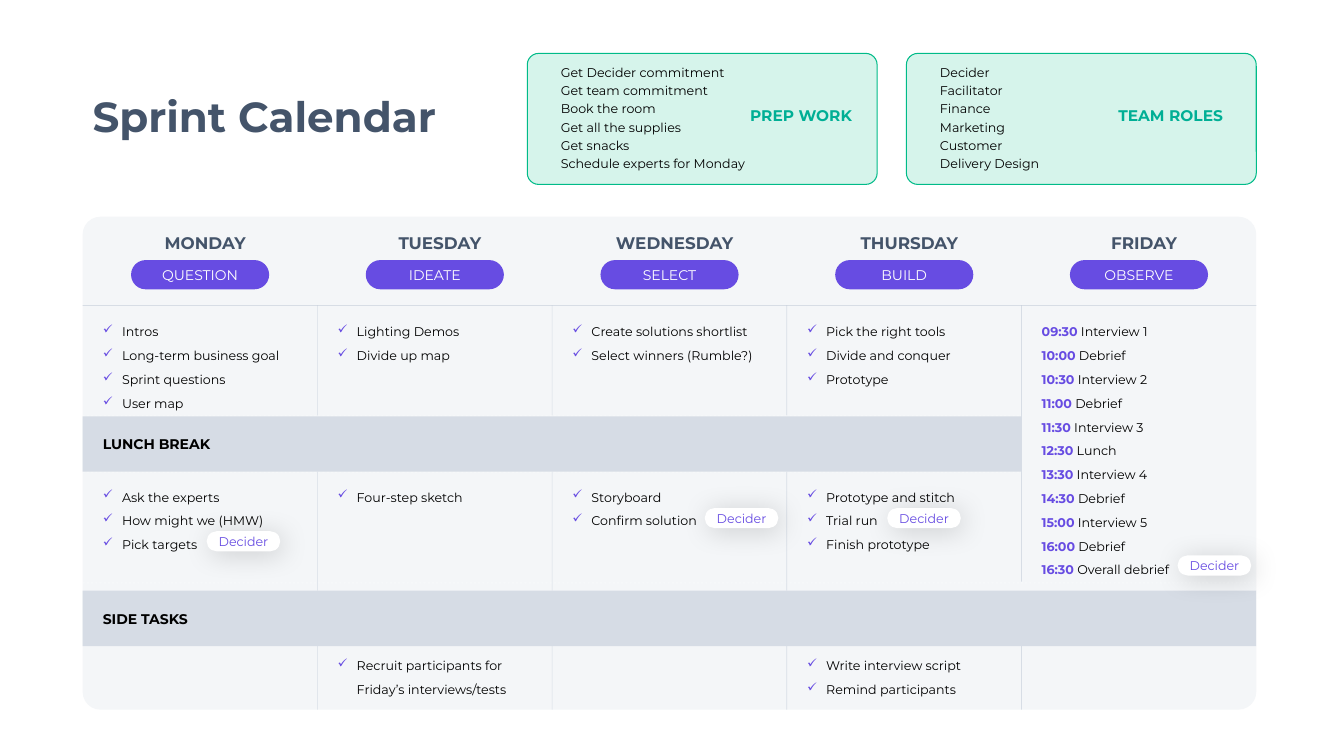
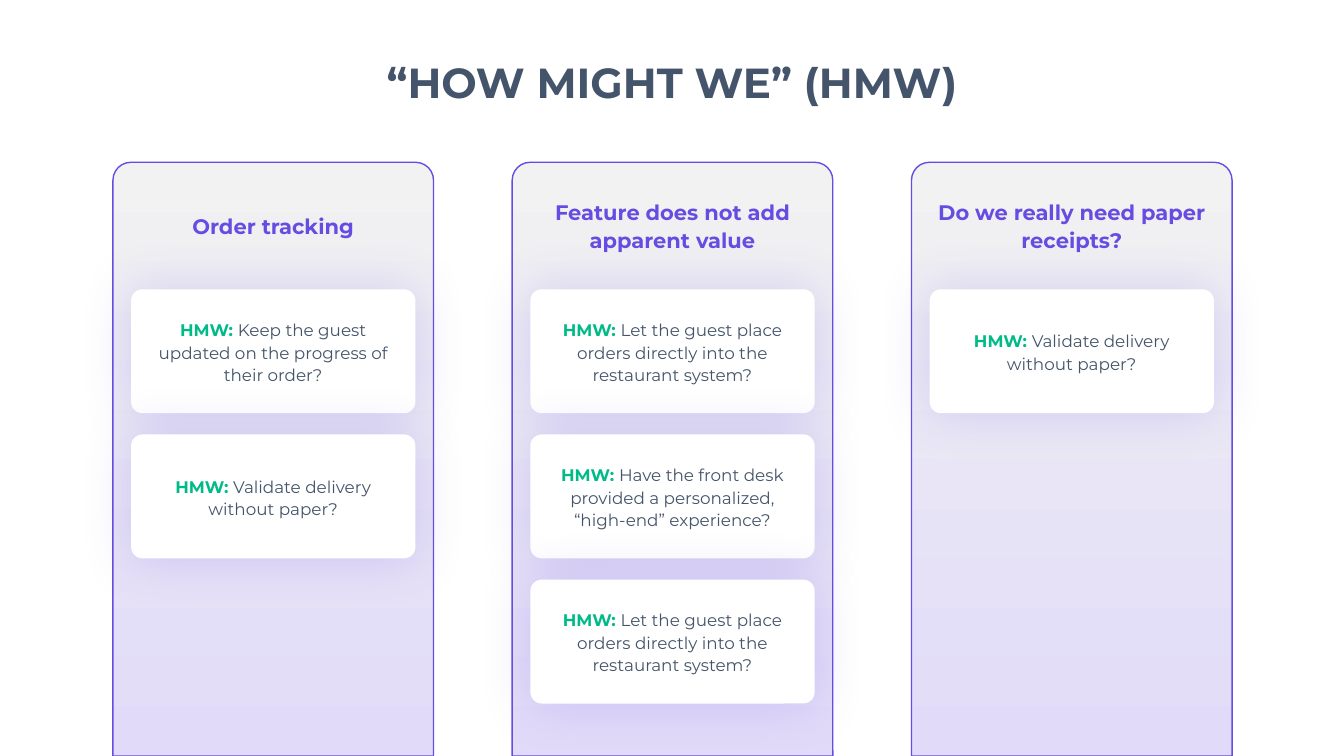
import pptx
import pptx.util
import pptx.dml.color
import pptx.enum.dml
import pptx.enum.shapes
import pptx.enum.text
import pptx.oxml
import lxml.etree

Inches, Pt = pptx.util.Inches, pptx.util.Pt
RGB = pptx.dml.color.RGBColor.from_string
SHAPE = pptx.enum.shapes.MSO_SHAPE
ALIGN = pptx.enum.text.PP_ALIGN
ANCHOR = pptx.enum.text.MSO_ANCHOR
DASH = pptx.enum.dml.MSO_LINE
NS = pptx.oxml.ns.nsdecls("a")
A = "{http://schemas.openxmlformats.org/drawingml/2006/main}"

C = {
    "white": "FFFFFF", "black": "000000", "slate": "44546A", "violet": "674CE2",
    "green": "00BB88", "teal": "00AF95", "panel": "F4F6F8", "band": "D6DCE5",
    "rule": "ADB9CA", "grey": "F2F2F2", "lilac": "E1DBF9",
}
FONT = "Montserrat"
TITLE = dict(size=30, bold=True, color="slate", wrap=False)
CELL_INSETS = (0.2, 0.1, 0.1, 0.05)
FLAT_INSETS = (0.2, 0, 0.1, 0)
PILL_INSETS = (0, 0.05, 0, 0.05)


def add_box(s, box, paras=(), shape=None, adj=None, fill=None, alpha=None, line=None,
            line_width=1, shadow=None, size=9, color="black", bold=False, lead="violet",
            align="LEFT", anchor="TOP", insets=(0.1, 0.05, 0.1, 0.05), wrap=True,
            spacing=None, after=None, bullet=False):
    """Add a text box, or a preset shape; a paragraph is a string or (bold lead, rest).

    A two-colour fill is a vertical gradient; shadow is (colour, alpha %, blur, distance, angle).
    """
    box = [Inches(v) for v in box]
    if shape is None:
        sp = s.shapes.add_textbox(*box)
    else:
        sp = s.shapes.add_shape(shape, *box)
        sp.shadow.inherit = False
        for i, value in enumerate(adj or ()):
            sp.adjustments[i] = value
        if isinstance(fill, tuple):
            sp.fill.gradient()
            sp.fill.gradient_angle = 270
            for stop, position, name in zip(sp.fill.gradient_stops, (0, 1), fill):
                stop.position = position
                stop.color.rgb = RGB(C[name])
        else:
            sp.fill.solid()
            sp.fill.fore_color.rgb = RGB(C[fill])
        if alpha:
            clr = sp._element.spPr.find(f"{A}solidFill/{A}srgbClr")
            lxml.etree.SubElement(clr, f"{A}alpha", val=str(alpha * 1000))
        if line:
            sp.line.color.rgb = RGB(C[line])
            sp.line.width = Pt(line_width)
        else:
            sp.line.fill.background()
        if shadow:
            name, opacity, blur, dist, angle = shadow
            sp._element.spPr.find(f"{A}effectLst").append(pptx.oxml.parse_xml(
                f'<a:outerShdw {NS} blurRad="{Pt(blur)}" dist="{Pt(dist)}" '
                f'dir="{angle * 60000}" algn="ctr" rotWithShape="0">'
                f'<a:srgbClr val="{C[name]}"><a:alpha val="{opacity * 1000}"/></a:srgbClr>'
                '</a:outerShdw>'))
    tf = sp.text_frame
    tf.word_wrap = wrap
    tf.vertical_anchor = ANCHOR[anchor]
    tf.margin_left, tf.margin_top, tf.margin_right, tf.margin_bottom = [Inches(v) for v in insets]
    for i, para in enumerate(paras):
        p = tf.add_paragraph() if i else tf.paragraphs[0]
        p.alignment = ALIGN[align]
        if spacing:
            p.line_spacing = Pt(spacing)
        if after:
            p.space_after = Pt(after)
        if bullet:
            pPr = p._p.get_or_add_pPr()
            pPr.set("marL", str(Inches(0.19)))
            pPr.set("indent", str(Inches(-0.19)))
            pPr.append(pptx.oxml.parse_xml(
                f'<a:buClr {NS}><a:srgbClr val="{C["violet"]}"/></a:buClr>'))
            pPr.append(pptx.oxml.parse_xml(f'<a:buChar {NS} char="✓"/>'))
        if isinstance(para, tuple):
            runs = [(para[0], lead, True), (para[1], color, False)]
        else:
            runs = [(para, color, bold)]
        for text, name, heavy in runs:
            r = p.add_run()
            r.text = text
            r.font.name = FONT
            r.font.size = Pt(size)
            r.font.bold = heavy
            r.font.color.rgb = RGB(C[name])


def add_line(s, x1, y1, x2, y2, color="rule", width=0.5, alpha=40, dash=None):
    cn = s.shapes.add_connector(pptx.enum.shapes.MSO_CONNECTOR.STRAIGHT,
                                Inches(x1), Inches(y1), Inches(x2), Inches(y2))
    cn.line.color.rgb = RGB(C[color])
    cn.line.width = Pt(width)
    if dash:
        cn.line.dash_style = dash
    spPr = cn._element.spPr
    clr = spPr.find(f"{A}ln/{A}solidFill/{A}srgbClr")
    lxml.etree.SubElement(clr, f"{A}alpha", val=str(alpha * 1000))
    lxml.etree.SubElement(spPr, f"{A}effectLst")


prs = pptx.Presentation()
prs.slide_width, prs.slide_height = Inches(13.33), Inches(7.5)
blank = prs.slide_layouts[6]

# Sprint calendar
s = prs.slides.add_slide(blank)
LEFT, WIDTH = 0.82, 11.64
RIGHT = LEFT + WIDTH
COL = WIDTH / 5
col_x = [LEFT + COL * i for i in range(5)]
friday_x = col_x[4]

days = [("MONDAY", "QUESTION"), ("TUESDAY", "IDEATE"), ("WEDNESDAY", "SELECT"),
        ("THURSDAY", "BUILD"), ("FRIDAY", "OBSERVE")]
morning = [
    ["Intros", "Long-term business goal", "Sprint questions", "User map"],
    ["Lighting Demos", "Divide up map"],
    ["Create solutions shortlist", "Select winners (Rumble?)"],
    ["Pick the right tools", "Divide and conquer", "Prototype"],
]
afternoon = [
    ["Ask the experts", "How might we (HMW)", "Pick targets"],
    ["Four-step sketch"],
    ["Storyboard", "Confirm solution"],
    ["Prototype and stitch", "Trial run", "Finish prototype"],
]
side_tasks = {
    1: ["Recruit participants for Friday’s interviews/tests"],
    3: ["Write interview script", "Remind participants"],
}
friday = [
    ("09:30", " Interview 1"), ("10:00", " Debrief"), ("10:30", " Interview 2"),
    ("11:00", " Debrief"), ("11:30", " Interview 3"), ("12:30", " Lunch"),
    ("13:30", " Interview 4"), ("14:30", " Debrief"), ("15:00", " Interview 5"),
    ("16:00", " Debrief"), ("16:30", " Overall debrief"),
]

add_box(s, (LEFT, 2.15, WIDTH, 4.89), shape=SHAPE.ROUNDED_RECTANGLE, adj=[0.036], fill="panel")
for top, tasks in ((3.03, morning), (4.67, afternoon)):
    for x, items in zip(col_x, tasks):
        add_box(s, (x, top, COL, 1.1), items, insets=CELL_INSETS, spacing=17, bullet=True)
add_box(s, (friday_x, 3.03, COL, 2.75), friday, insets=CELL_INSETS, spacing=17)
for i, items in side_tasks.items():
    add_box(s, (col_x[i], 6.4, COL, 0.56), items, insets=FLAT_INSETS, anchor="MIDDLE",
            spacing=17, bullet=True)

for y, end in ((4.13, friday_x), (4.68, friday_x), (5.78, RIGHT), (6.33, RIGHT)):
    add_line(s, LEFT, y, end, y, color="white", width=1.5, alpha=25, dash=DASH.ROUND_DOT)
add_line(s, LEFT, 3.03, RIGHT, 3.03)
for x in col_x[1:4]:
    for top, bottom in ((3.03, 4.12), (4.68, 5.86), (6.33, 7.04)):
        add_line(s, x, top, x, bottom)
for top, bottom in ((3.03, 5.77), (6.33, 7.04)):
    add_line(s, friday_x, top, friday_x, bottom)
for label, top, width in (("LUNCH BREAK", 4.13, COL * 4), ("SIDE TASKS", 5.86, WIDTH)):
    add_box(s, (LEFT, top, width, 0.55), [label], shape=SHAPE.RECTANGLE, fill="band", size=10,
            bold=True, anchor="MIDDLE", insets=FLAT_INSETS)

for x, (day, phase) in zip(col_x, days):
    add_box(s, (x, 2.31, COL, 0.38), [day], size=12, bold=True, color="slate",
            align="CENTER", insets=FLAT_INSETS, after=6)
    add_box(s, (x + 0.48, 2.58, 1.37, 0.29), [phase], shape=SHAPE.ROUNDED_RECTANGLE, adj=[0.5],
            fill="violet", size=10, color="white", align="CENTER", anchor="MIDDLE",
            insets=PILL_INSETS)
for x, y in ((2.05, 5.27), (6.99, 5.04), (8.8, 5.04), (11.68, 5.51)):
    add_box(s, (x, y, 0.73, 0.2), ["Decider"], shape=SHAPE.ROUNDED_RECTANGLE, adj=[0.5],
            fill="white", shadow=("black", 16, 20, 3, 45), color="violet", align="CENTER",
            anchor="MIDDLE", insets=PILL_INSETS)

add_box(s, (LEFT, 0.85, 3.64, 0.61), ["Sprint Calendar"], **TITLE)
checklists = [
    (5.23, "PREP WORK", 8.55, ["Get Decider commitment", "Get team commitment", "Book the room",
                               "Get all the supplies", "Get snacks",
                               "Schedule experts for Monday"]),
    (8.99, "TEAM ROLES", 12.23, ["Decider", "Facilitator", "Finance", "Marketing", "Customer",
                                 "Delivery Design"]),
]
for x, label, label_right, items in checklists:
    add_box(s, (x, 0.53, 3.47, 1.3), items, shape=SHAPE.ROUNDED_RECTANGLE, adj=[0.087],
            fill="green", alpha=16, line="green", line_width=0.75, anchor="MIDDLE",
            insets=(0.3, 0, 0, 0.05), spacing=13)
    add_box(s, (label_right - 1.25, 1, 1.25, 0.29), [label], size=11, bold=True, color="teal",
            align="RIGHT", anchor="MIDDLE", wrap=False)

# How might we
s = prs.slides.add_slide(blank)
add_box(s, (3.7, 0.51, 5.93, 0.61), ["“HOW MIGHT WE” (HMW)"], align="CENTER", **TITLE)
themes = [
    ("Order tracking", ["Keep the guest updated on the progress of their order?",
                        "Validate delivery without paper?"]),
    ("Feature does not add apparent value",
     ["Let the guest place orders directly into the restaurant system?",
      "Have the front desk provided a personalized, “high-end” experience?",
      "Let the guest place orders directly into the restaurant system?"]),
    ("Do we really need paper receipts?", ["Validate delivery without paper?"]),
]
for i, (theme, questions) in enumerate(themes):
    x = 1.12 + 3.96 * i
    add_box(s, (x, 1.61, 3.18, 5.89), shape=SHAPE.ROUND_2_SAME_RECTANGLE, adj=[0.056, 0],
            fill=("grey", "lilac"), line="violet")
    for j, question in enumerate(questions):
        add_box(s, (x + 0.18, 2.87 + 1.44 * j, 2.82, 1.23), [("HMW: ", question)],
                shape=SHAPE.ROUNDED_RECTANGLE, adj=[0.092], fill="white",
                shadow=("violet", 20, 37, 0, 0), size=12, color="slate", lead="green",
                align="CENTER", anchor="MIDDLE", spacing=16)
    add_box(s, (x, 1.92, 3.18, 0.61), [theme], size=15, bold=True, color="violet",
            align="CENTER", anchor="MIDDLE", insets=(0.1, 0, 0.1, 0), spacing=20)

prs.save("out.pptx")
